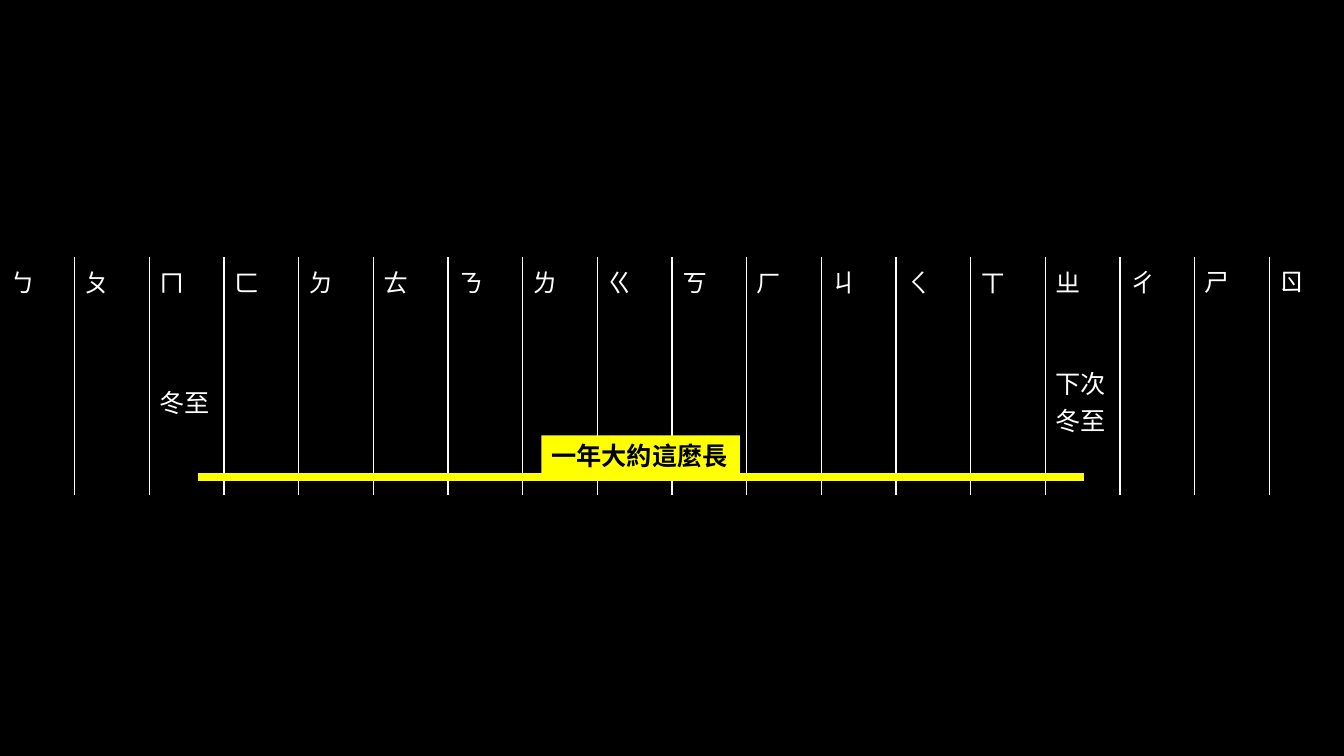
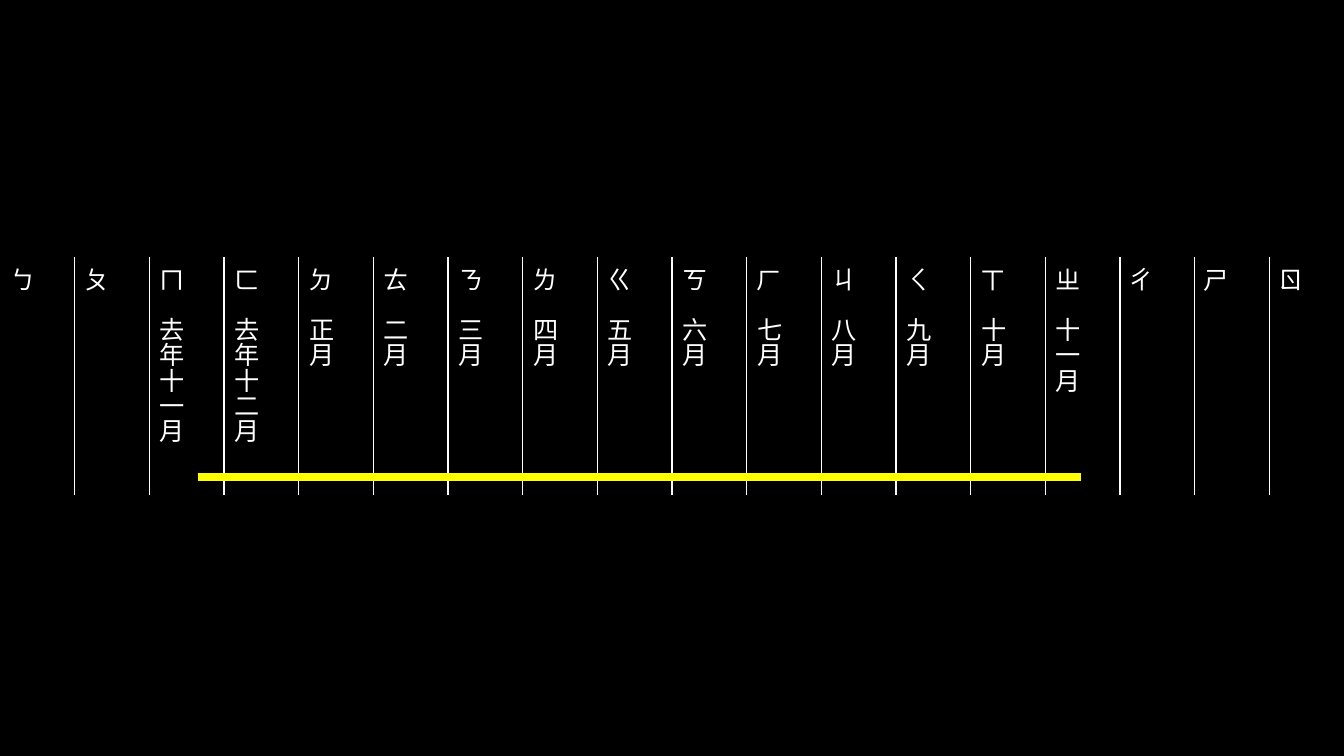
from lxml import etree
from pptx import Presentation
from pptx.dml.color import RGBColor
from pptx.enum.shapes import MSO_CONNECTOR
from pptx.enum.text import MSO_ANCHOR, MSO_AUTO_SIZE
from pptx.oxml.ns import qn
from pptx.util import Inches, Pt

STRAIGHT = MSO_CONNECTOR.STRAIGHT
MIDDLE = MSO_ANCHOR.MIDDLE
FIT_SHAPE = MSO_AUTO_SIZE.SHAPE_TO_FIT_TEXT

COLORS = {"background": "000000", "text": "FFFFFF", "year": "FFFF00", "label": "000000"}
LETTER_FONT = "TeX Gyre Bonum"
LATE_LETTER_FONT = "Arial"
CHINESE_FONT = "Noto Sans CJK SC"
TEXT_SIZE = Pt(18)
NO_STYLE_NO_GRID = "{2D5ABB26-0587-4C30-8999-92F81FD0307C}"

SLIDE_WIDTH, SLIDE_HEIGHT = 13.33, 7.5
TABLE_TOP = 2.55
ROW_HEIGHTS = (0.5, 1.86)
YEAR_START, YEAR_Y = 1.96, 4.73

LETTERS = "ㄅㄆㄇㄈㄉㄊㄋㄌㄍㄎㄏㄐㄑㄒㄓㄔㄕㄖ"
SOLSTICES = {"ㄇ": "冬至", "ㄓ": "下次冬至"}
MONTHS = dict(zip(LETTERS[2:], (
    "去年十一月", "去年十二月", "正月", "二月", "三月", "四月", "五月",
    "六月", "七月", "八月", "九月", "十月", "十一月")))


def color(name):
    return RGBColor.from_string(COLORS[name])


def add_run(paragraph, text, font_name, color_name, bold=False):
    run = paragraph.add_run()
    run.text = text
    run.font.size = TEXT_SIZE
    run.font.name = font_name
    run.font.bold = bold
    run.font.color.rgb = color(color_name)
    east_asian = etree.Element(qn("a:ea"), typeface=font_name)
    run.font._element.find(qn("a:latin")).addnext(east_asian)


def set_side_borders(cell, left, right):
    """Draw the chosen side borders and leave the other borders empty."""
    properties = cell._tc.get_or_add_tcPr()
    for tag, visible in (("lnL", left), ("lnR", right), ("lnT", False), ("lnB", False)):
        border = etree.SubElement(properties, qn(f"a:{tag}"), w=str(Pt(1)))
        if visible:
            fill = etree.SubElement(border, qn("a:solidFill"))
            etree.SubElement(fill, qn("a:srgbClr"), val=COLORS["text"])
        else:
            etree.SubElement(border, qn("a:noFill"))


def fill_cell(cell, text, font_name, vertical):
    cell.fill.background()
    cell.vertical_anchor = MIDDLE
    if vertical:
        cell._tc.get_or_add_tcPr().set("vert", "eaVert")
    if text:
        add_run(cell.text_frame.paragraphs[0], text, font_name, "text")


def add_month_table(slide, notes, late_letters, vertical):
    """Add one column per letter, with the note of each letter below it."""
    count = len(LETTERS)
    frame = slide.shapes.add_table(
        len(ROW_HEIGHTS), count, 0, Inches(TABLE_TOP),
        Inches(SLIDE_WIDTH), Inches(sum(ROW_HEIGHTS)))
    table = frame.table
    table.first_row = table.horz_banding = False
    table._tbl.tblPr.find(qn("a:tableStyleId")).text = NO_STYLE_NO_GRID
    for row, height in zip(table.rows, ROW_HEIGHTS):
        row.height = Inches(height)
    for index, letter in enumerate(LETTERS):
        table.columns[index].width = Inches(SLIDE_WIDTH / count)
        letter_font = LATE_LETTER_FONT if letter in late_letters else LETTER_FONT
        contents = ((letter, letter_font), (notes.get(letter), CHINESE_FONT))
        for row_index, (text, font_name) in enumerate(contents):
            cell = table.cell(row_index, index)
            set_side_borders(cell, index > 0, index < count - 1)
            fill_cell(cell, text, font_name, vertical)


def add_year_line(slide, end):
    line = slide.shapes.add_connector(
        STRAIGHT, Inches(YEAR_START), Inches(YEAR_Y), Inches(end), Inches(YEAR_Y))
    line.line.color.rgb = color("year")
    line.line.width = Pt(6)
    etree.SubElement(line._element.spPr, qn("a:effectLst"))


def add_year_label(slide, text):
    label = slide.shapes.add_textbox(Inches(5.37), Inches(4.32), Inches(1.97), Inches(0.4))
    label.fill.solid()
    label.fill.fore_color.rgb = color("year")
    label.text_frame.word_wrap = False
    label.text_frame.auto_size = FIT_SHAPE
    add_run(label.text_frame.paragraphs[0], text, CHINESE_FONT, "label", bold=True)


def add_calendar_slide(presentation, notes, late_letters, year_end, vertical):
    slide = presentation.slides.add_slide(presentation.slide_layouts[6])
    slide.background.fill.solid()
    slide.background.fill.fore_color.rgb = color("background")
    add_month_table(slide, notes, late_letters, vertical)
    add_year_line(slide, year_end)
    return slide


def main():
    presentation = Presentation()
    presentation.slide_width = Inches(SLIDE_WIDTH)
    presentation.slide_height = Inches(SLIDE_HEIGHT)
    solstice_slide = add_calendar_slide(presentation, SOLSTICES, "ㄕㄖ", 10.75, vertical=False)
    add_year_label(solstice_slide, "一年大約這麼長")
    add_calendar_slide(presentation, MONTHS, "ㄔㄕㄖ", 10.72, vertical=True)
    presentation.save("out.pptx")


if __name__ == "__main__":
    main()
